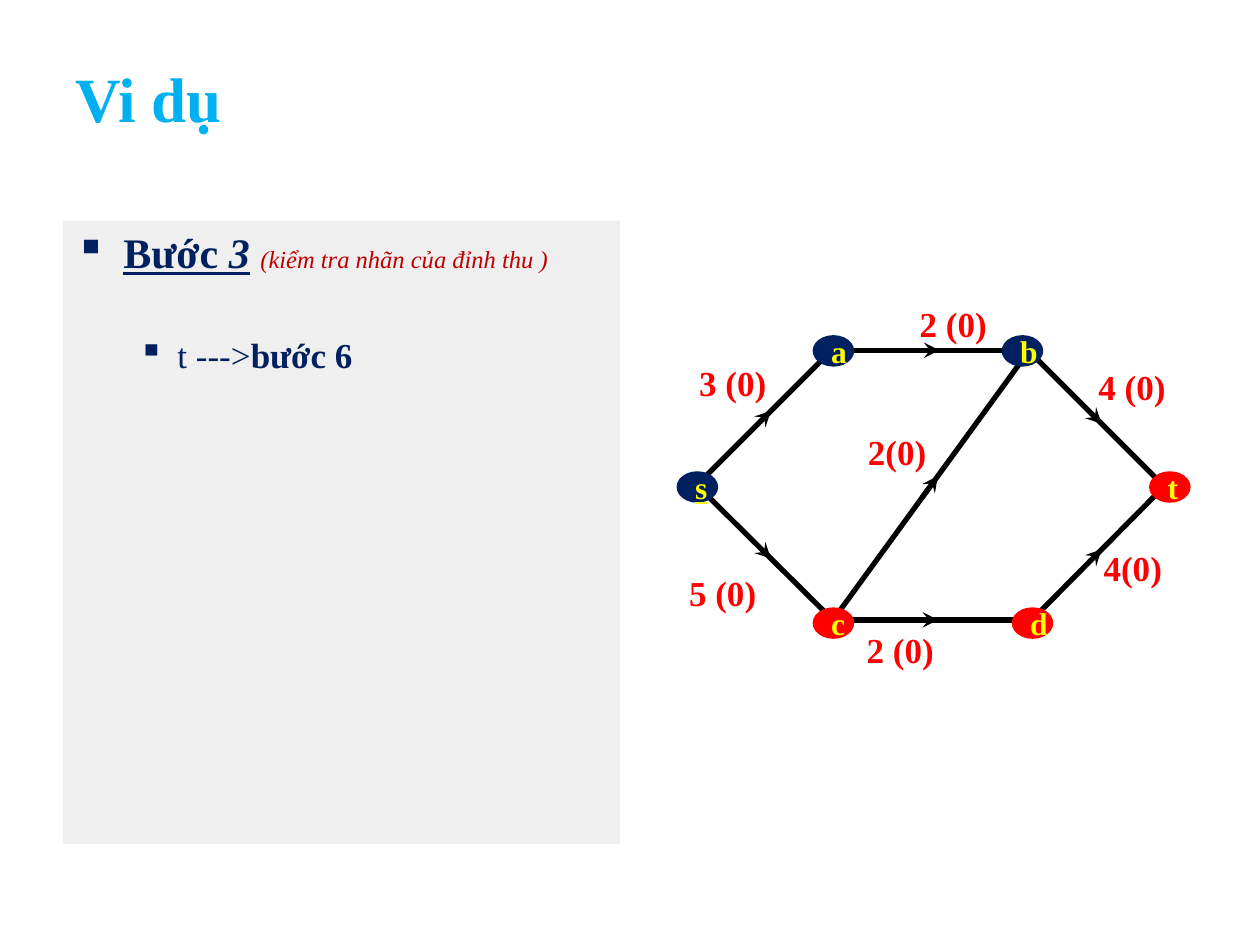
from lxml.etree import SubElement
from pptx import Presentation
from pptx.dml.color import RGBColor
from pptx.enum.shapes import MSO_CONNECTOR, MSO_SHAPE
from pptx.enum.text import MSO_ANCHOR, PP_ALIGN
from pptx.oxml.ns import qn
from pptx.util import Inches, Pt

FONT = "Times New Roman"
COLORS = {
    "title": "00B0F0",
    "navy": "002060",
    "red": "FF0000",
    "dark_red": "C00000",
    "yellow": "FFFF00",
    "panel": "EFEFEF",
    "black": "000000",
}
NODE_WIDTH, NODE_HEIGHT = 0.33, 0.25
ARROW_AT, SECOND_HALF_AT = 0.54, 0.46

EDGES = [
    ((6.62, 4.92), (8.15, 4.92)),
    ((5.53, 3.85), (6.62, 2.76)),
    ((5.53, 3.85), (6.62, 4.93)),
    ((8.16, 2.78), (9.24, 3.86)),
    ((8.16, 4.95), (9.24, 3.86)),
    ((6.63, 2.78), (8.16, 2.78)),
    ((6.59, 4.95), (8.17, 2.78)),
]
CAPACITIES = [
    ("3 (0)", 5.45, 2.82, 0.92),
    ("5 (0)", 5.37, 4.49, 0.88),
    ("2 (0)", 7.2, 2.35, 0.75),
    ("2(0)", 6.79, 3.37, 0.71),
    ("2 (0)", 6.78, 4.94, 0.97),
    ("4(0)", 8.66, 4.29, 0.92),
    ("4 (0)", 8.62, 2.85, 0.83),
]
NODES = [
    ("s", 5.37, 3.74, "navy"),
    ("c", 6.45, 4.82, "red"),
    ("d", 8.03, 4.82, "red"),
    ("t", 9.12, 3.74, "red"),
    ("b", 7.95, 2.66, "navy"),
    ("a", 6.45, 2.66, "navy"),
]


def color(name):
    return RGBColor.from_string(COLORS[name])


def style_font(font, size, color_name, bold=None):
    font.name = FONT
    font.size = Pt(size)
    font.bold = bold
    font.color.rgb = color(color_name)


def add_label(page, text, left, top, width, height, size, color_name):
    box = page.shapes.add_textbox(Inches(left), Inches(top), Inches(width), Inches(height))
    box.text_frame.word_wrap = True
    para = box.text_frame.paragraphs[0]
    para.text = text
    style_font(para.font, size, color_name, True)
    return box


def add_filled_shape(page, preset, left, top, width, height, fill):
    shape = page.shapes.add_shape(preset, Inches(left), Inches(top), Inches(width), Inches(height))
    shape.shadow.inherit = False
    shape.fill.solid()
    shape.fill.fore_color.rgb = color(fill)
    shape.line.fill.background()
    shape.text_frame.word_wrap = True
    return shape


def add_bullet(para, margin, indent):
    properties = para._p.get_or_add_pPr()
    properties.set("marL", str(Inches(margin)))
    properties.set("indent", str(Inches(indent)))
    bullet_color = SubElement(properties, qn("a:buClr"))
    SubElement(bullet_color, qn("a:srgbClr"), val=COLORS["navy"])
    SubElement(properties, qn("a:buChar"), char="▪")
    para.alignment = PP_ALIGN.LEFT


def add_span(para, text, size, color_name, bold=False, italic=False, underline=False):
    span = para.add_run()
    span.text = text
    style_font(span.font, size, color_name, bold)
    span.font.italic = italic
    span.font.underline = underline


def add_step_panel(page):
    panel = add_filled_shape(page, MSO_SHAPE.RECTANGLE, 0.5, 1.75, 4.42, 4.95, "panel")
    frame = panel.text_frame
    frame.vertical_anchor = MSO_ANCHOR.TOP

    heading = frame.paragraphs[0]
    add_bullet(heading, 0.38, -0.38)
    add_span(heading, "Bước ", 24, "navy", bold=True, underline=True)
    add_span(heading, "3", 24, "navy", bold=True, italic=True, underline=True)
    add_span(heading, " ", 24, "navy", italic=True)
    add_span(heading, "(kiểm tra nhãn của đỉnh thu )", 14, "dark_red", italic=True)

    detail = frame.add_paragraph()
    detail.level = 1
    add_bullet(detail, 0.81, -0.31)
    detail.space_before = Pt(32)
    add_span(detail, "t --->", 20, "navy")
    add_span(detail, "bước 6", 20, "navy", bold=True)


def add_line(page, start, end, head=None, tail=None):
    points = [Inches(value) for value in (*start, *end)]
    connector = page.shapes.add_connector(MSO_CONNECTOR.STRAIGHT, *points)
    connector.line.color.rgb = color("black")
    connector.line.width = Pt(3)
    outline = connector.line._get_or_add_ln()
    for tag, kind in (("a:headEnd", head), ("a:tailEnd", tail)):
        if kind:
            SubElement(outline, qn(tag), type=kind)
    SubElement(connector._element.spPr, qn("a:effectLst"))


def point_between(start, end, share):
    return tuple(a + (b - a) * share for a, b in zip(start, end))


def add_edge(page, start, end):
    add_line(page, start, point_between(start, end, ARROW_AT), "oval", "stealth")
    add_line(page, point_between(start, end, SECOND_HALF_AT), end, tail="oval")


def add_node(page, name, left, top, fill):
    node = add_filled_shape(
        page, MSO_SHAPE.FLOWCHART_CONNECTOR, left, top, NODE_WIDTH, NODE_HEIGHT, fill
    )
    node.text_frame.vertical_anchor = MSO_ANCHOR.MIDDLE
    para = node.text_frame.paragraphs[0]
    para.text = name
    para.alignment = PP_ALIGN.CENTER
    style_font(para.font, 18, "yellow", True)
    para.font.underline = name == "s"


def main():
    deck = Presentation()
    deck.slide_width, deck.slide_height = Inches(10), Inches(7.5)
    page = deck.slides.add_slide(deck.slide_layouts[6])

    title = add_label(page, "Vi dụ", 0.5, 0.3, 9, 0.95, 36, "title")
    title.text_frame.vertical_anchor = MSO_ANCHOR.MIDDLE
    add_step_panel(page)
    for start, end in EDGES:
        add_edge(page, start, end)
    for text, left, top, width in CAPACITIES:
        add_label(page, text, left, top, width, 0.44, 20, "red")
    for node in NODES:
        add_node(page, *node)

    deck.save("out.pptx")


if __name__ == "__main__":
    main()
